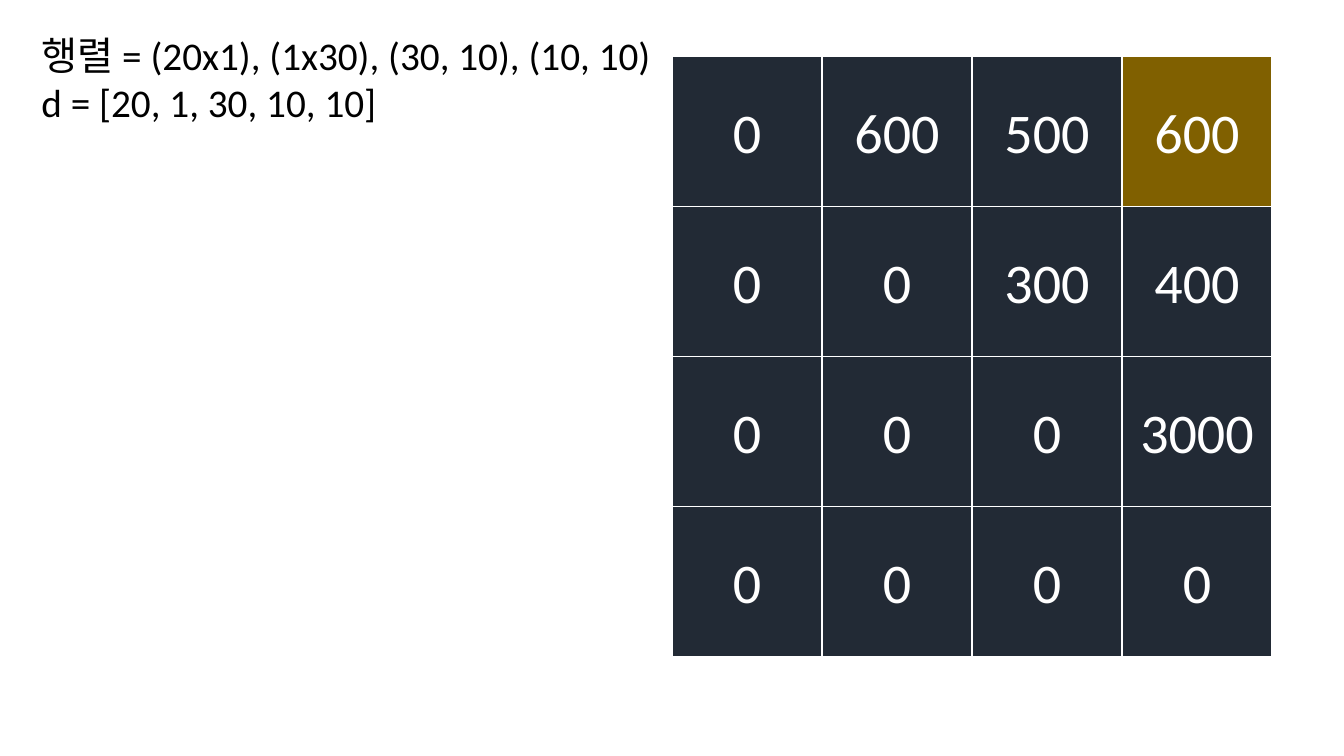
from pptx import Presentation
from pptx.dml.color import RGBColor
from pptx.enum.shapes import MSO_SHAPE
from pptx.enum.text import MSO_ANCHOR, MSO_AUTO_SIZE, PP_ALIGN
from pptx.util import Pt


def color(hex_code):
    return RGBColor.from_string(hex_code)


def style_text(paragraph, size, hex_code):
    for run in paragraph.runs:
        run.font.name = "Calibri"
        run.font.size = Pt(size)
        run.font.color.rgb = color(hex_code)


prs = Presentation()
prs.slide_width, prs.slide_height = Pt(960), Pt(540)
slide = prs.slides.add_slide(prs.slide_layouts[6])

# Matrix dimensions
dimensions = slide.shapes.add_textbox(Pt(22.5), Pt(18.7), Pt(458.6), Pt(75)).text_frame
dimensions.word_wrap = False
dimensions.auto_size = MSO_AUTO_SIZE.SHAPE_TO_FIT_TEXT
dimensions.text = "행렬 = (20x1), (1x30), (30, 10), (10, 10)\nd = [20, 1, 30, 10, 10]"
for line in dimensions.paragraphs:
    style_text(line, 28, "000000")

# Grid of minimum multiplication costs, with the answer highlighted
costs = [
    [0, 600, 500, 600],
    [0, 0, 300, 400],
    [0, 0, 0, 3000],
    [0, 0, 0, 0],
]
answer = (0, 3)
grid_left, grid_top, side = 480, 40.3, 107.15

for row, row_costs in enumerate(costs):
    for col, cost in enumerate(row_costs):
        cell = slide.shapes.add_shape(
            MSO_SHAPE.RECTANGLE,
            Pt(grid_left + col * side), Pt(grid_top + row * side), Pt(side), Pt(side))
        cell.shadow.inherit = False
        cell.fill.solid()
        cell.fill.fore_color.rgb = color("806000" if (row, col) == answer else "222A35")
        cell.line.color.rgb = color("FFFFFF")
        cell.line.width = Pt(1)
        cell.text_frame.text = str(cost)
        cell.text_frame.vertical_anchor = MSO_ANCHOR.MIDDLE
        label = cell.text_frame.paragraphs[0]
        label.alignment = PP_ALIGN.CENTER
        style_text(label, 40, "FFFFFF")

prs.save("out.pptx")
